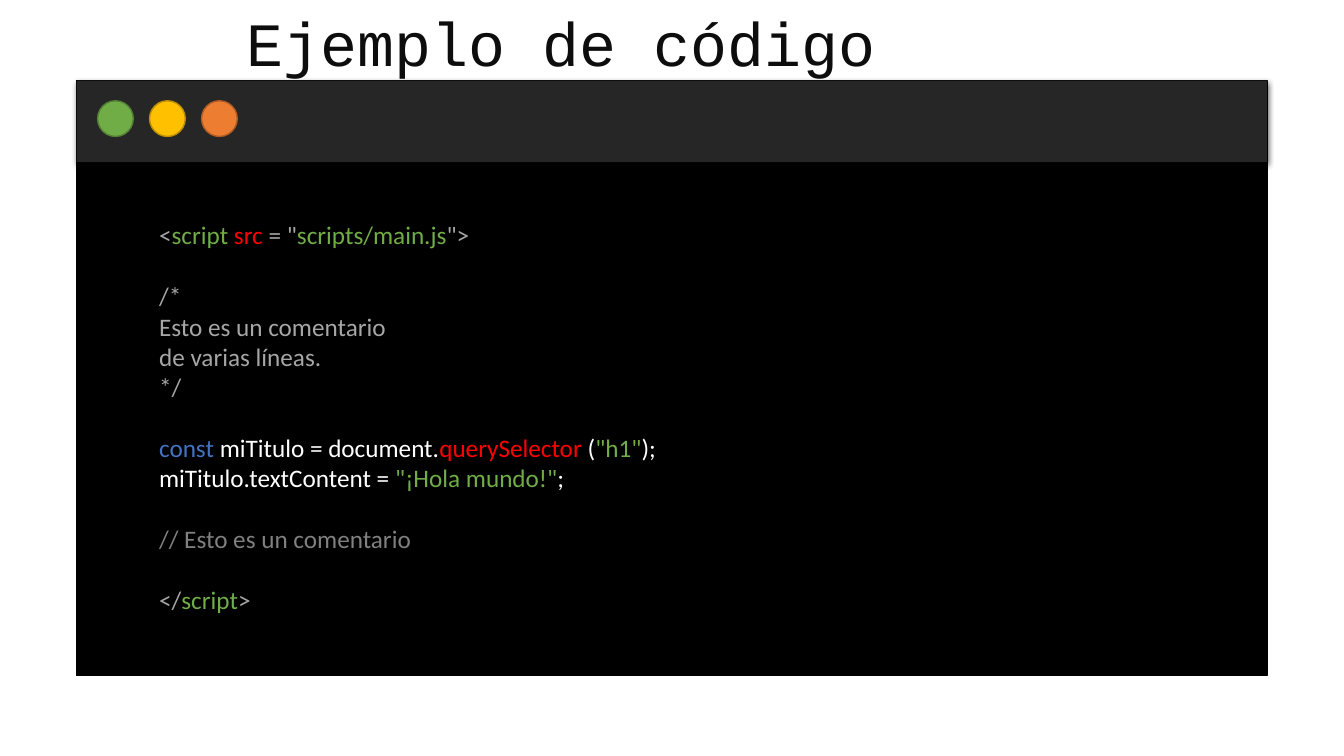
from lxml.etree import SubElement
from pptx import Presentation
from pptx.dml.color import RGBColor
from pptx.enum.shapes import MSO_SHAPE as Shape
from pptx.enum.text import MSO_ANCHOR as Anchor, MSO_AUTO_SIZE as AutoSize, PP_ALIGN as Align
from pptx.oxml.ns import qn
from pptx.util import Cm, Pt

GREY, GREEN, RED, BLUE, WHITE, DIM = "A6A6A6", "70AD47", "FF0000", "4472C4", "FFFFFF", "808080"
BLACK = "000000"
CODE_SIZE = 18
BLANK_LINE = 22

CODE_BLOCKS = [
    [[("<", GREY), ("script ", GREEN), ("src ", RED), ('= "', GREY),
      ("scripts/main.js", GREEN), ('">', GREY)]],
    [[("/*", GREY)], [("Esto es un comentario", GREY)], [("de varias líneas.", GREY)], [("*/", GREY)]],
    [[("const ", BLUE), ("miTitulo = document.", WHITE), ("querySelector ", RED),
      ("(", WHITE), ('"h1"', GREEN), (");", WHITE)],
     [("miTitulo.textContent = ", WHITE), ('"¡Hola mundo!"', GREEN), (";", WHITE)]],
    [[("// Esto es un comentario", DIM)]],
    [[("</", GREY), ("script", GREEN), (">", GREY)]],
]


def colour(value):
    return RGBColor.from_string(value)


class CodeSlide:
    """Holds the slide and its text style, and draws each kind of element."""

    frame_format = {"word_wrap": True, "auto_size": AutoSize.NONE, "vertical_anchor": Anchor.TOP}

    def __init__(self, deck):
        self.slide = deck.slides.add_slide(deck.slide_layouts[5])

    def style_frame(self, frame):
        for name, value in self.frame_format.items():
            setattr(frame, name, value)

    def add_text(self, paragraph, text, font, size, hue):
        run = paragraph.add_run()
        run.text = text
        for name, value in {"name": font, "size": Pt(size)}.items():
            setattr(run.font, name, value)
        run.font.color.rgb = colour(hue)

    def title(self, text, left, top, width, height):
        heading = self.slide.shapes.title
        box = {"left": left, "top": top, "width": width, "height": height}
        for name, value in box.items():
            setattr(heading, name, Cm(value))
        self.style_frame(heading.text_frame)
        line = heading.text_frame.paragraphs[0]
        line.alignment = Align.LEFT
        self.add_text(line, text, "Courier New", 44, "0D0D0D")

    def block(self, kind, left, top, width, height, fill, outline=None):
        block = self.slide.shapes.add_shape(kind, Cm(left), Cm(top), Cm(width), Cm(height))
        block.shadow.inherit = False
        block.fill.solid()
        block.fill.fore_color.rgb = colour(fill)
        if outline:
            block.line.color.rgb = colour(outline)
            block.line.width = Pt(1)
        else:
            block.line.fill.background()
        return block

    def cast_shadow(self, block):
        effects = block.element.spPr.find(qn("a:effectLst"))
        shadow = SubElement(effects, qn("a:outerShdw"), blurRad=str(Pt(4.5)), dist=str(Pt(1.5)),
                            dir="5400000", algn="t", rotWithShape="0")
        tint = SubElement(shadow, qn("a:srgbClr"), val=BLACK)
        SubElement(tint, qn("a:alpha"), val="63000")

    def code(self, blocks, left, top, width, height):
        listing = self.slide.shapes.add_textbox(Cm(left), Cm(top), Cm(width), Cm(height))
        frame = listing.text_frame
        self.style_frame(frame)
        line = None
        for block in blocks:
            for number, tokens in enumerate(block):
                first = line is None
                line = frame.paragraphs[0] if first else frame.add_paragraph()
                if number == 0 and not first:
                    line.space_before = Pt(BLANK_LINE)
                for text, hue in tokens:
                    self.add_text(line, text, "Calibri", CODE_SIZE, hue)


def main():
    deck = Presentation()
    deck.slide_width, deck.slide_height = Cm(33.87), Cm(19.05)
    window = CodeSlide(deck)
    window.title("Ejemplo de código", 5.97, 0, 19.66, 2.13)
    window.block(Shape.RECTANGLE, 1.93, 2.03, 30, 15, BLACK, BLACK)
    title_bar = window.block(Shape.RECTANGLE, 1.93, 2.03, 30, 2.06, "262626")
    window.cast_shadow(title_bar)
    buttons = [(GREEN, "538035"), ("FFC000", "BD8E00"), ("ED7D31", "AF5C24")]
    for index, (fill, outline) in enumerate(buttons):
        window.block(Shape.OVAL, 2.46 + index * 1.31, 2.54, 0.9, 0.9, fill, outline)
    window.code(CODE_BLOCKS, 3.76, 5.41, 13.18, 10.26)
    deck.save("out.pptx")


if __name__ == "__main__":
    main()
